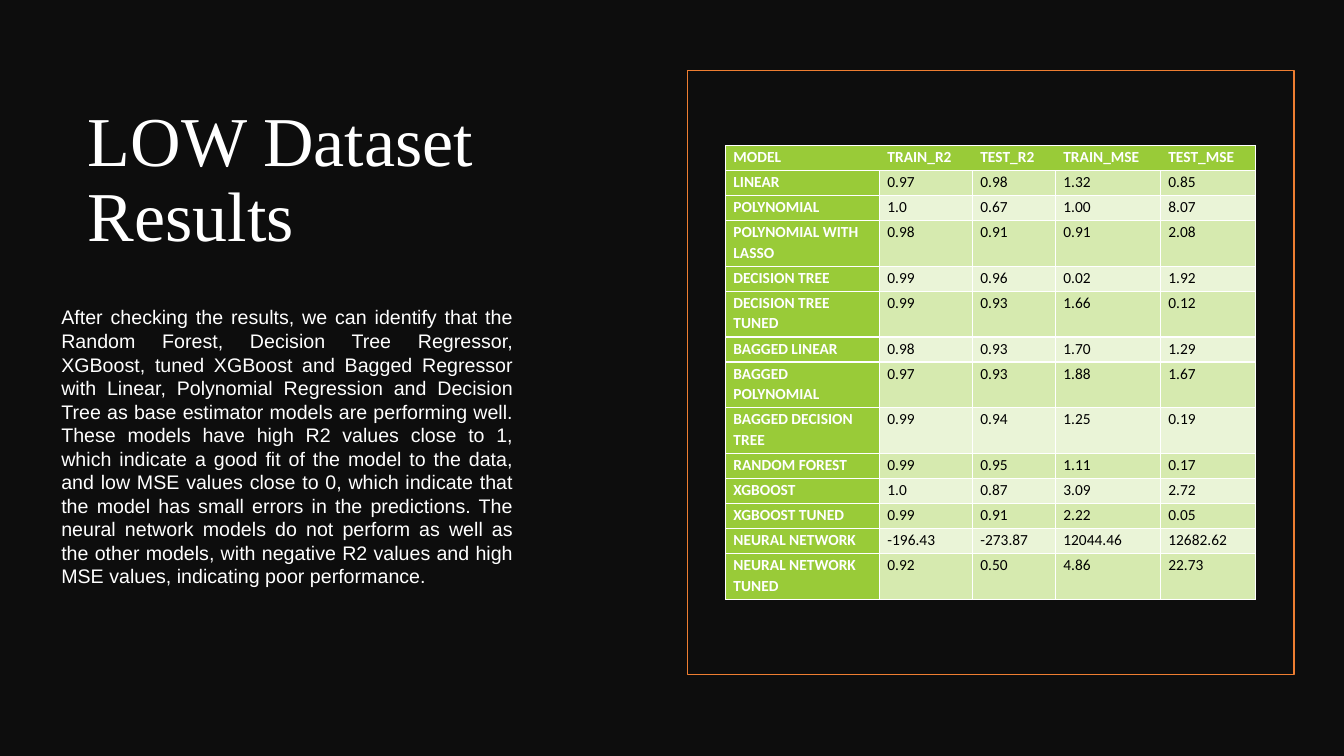
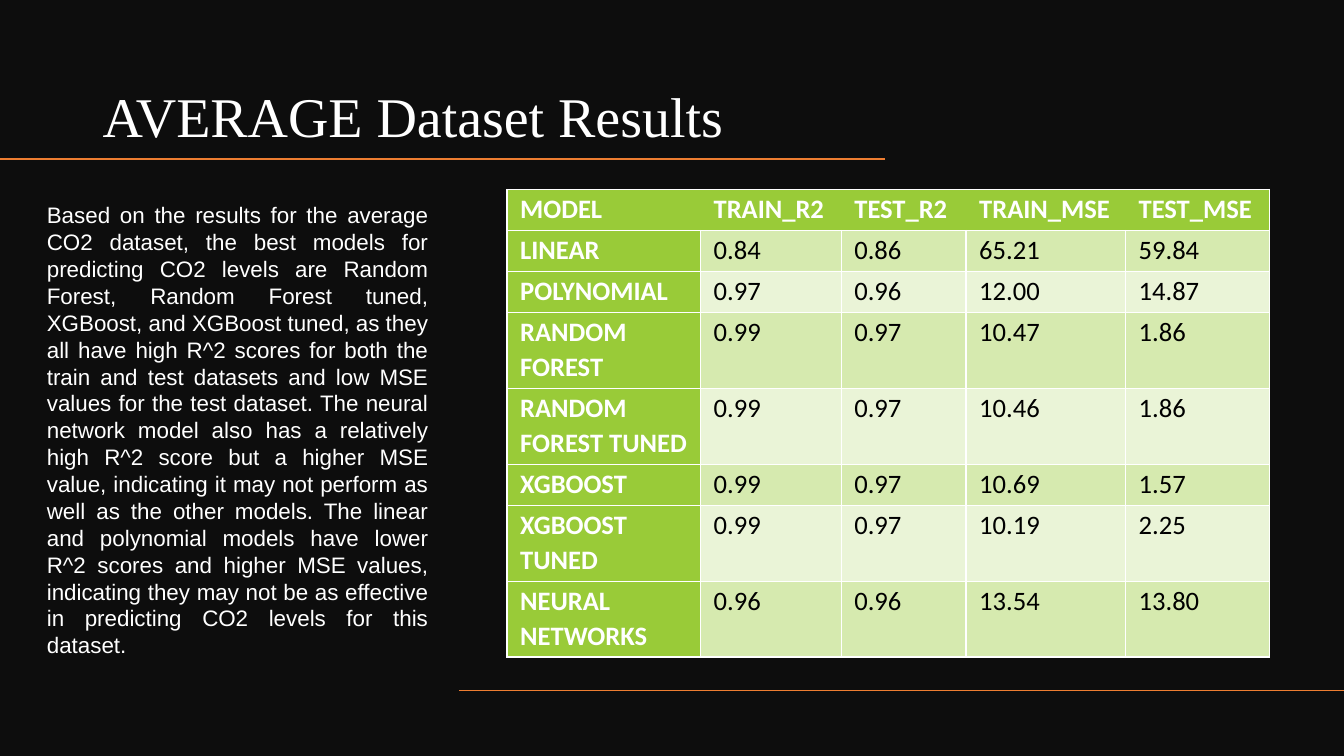
"""Build two slides of model results, each with a title, a summary and a table."""
from lxml.etree import SubElement
from pptx import Presentation
from pptx.dml.color import RGBColor
from pptx.enum.shapes import MSO_CONNECTOR, MSO_SHAPE
from pptx.enum.text import MSO_ANCHOR, MSO_AUTO_SIZE, PP_ALIGN
from pptx.oxml.ns import qn
from pptx.util import Pt

BACKGROUND = RGBColor(0x0D, 0x0D, 0x0D)
WHITE = RGBColor(0xFF, 0xFF, 0xFF)
BLACK = RGBColor(0x00, 0x00, 0x00)
ORANGE = RGBColor(0xED, 0x7D, 0x31)
GREEN = RGBColor(0x99, 0xCB, 0x38)
BAND_DARK = RGBColor(0xD6, 0xEA, 0xAF)
BAND_LIGHT = RGBColor(0xEA, 0xF4, 0xD7)

HEADER = ("MODEL", "TRAIN_R2", "TEST_R2", "TRAIN_MSE", "TEST_MSE")

RESULTS = [
    {
        "title": "LOW Dataset Results",
        "title_box": (55.5, 50.4, 424.8, 136.8),
        "title_size": 50,
        "summary": "After checking the results, we can identify that the Random Forest, Decision Tree "
                   "Regressor, XGBoost, tuned XGBoost and Bagged Regressor with Linear, Polynomial "
                   "Regression and Decision Tree as base estimator models are performing well. These "
                   "models have high R2 values close to 1, which indicate a good fit of the model to "
                   "the data, and low MSE values close to 0, which indicate that the model has small "
                   "errors in the predictions. The neural network models do not perform as well as the "
                   "other models, with negative R2 values and high MSE values, indicating poor "
                   "performance.",
        "summary_box": (36.7, 214.6, 337, 211),
        "summary_size": 14,
        "frame": (491, 50.4, 433.4, 431.3),
        "rules": [],
        "table_at": (518.4, 104),
        "columns": (110, 66.4, 59.3, 75, 67.8),
        "row_heights": (17.9, 32.6),
        "longest_single_line": 14,
        "table_size": 11,
        "cell_margins": (5.5, 0.8),
        "rows": [
            ("LINEAR", "0.97", "0.98", "1.32", "0.85"),
            ("POLYNOMIAL", "1.0", "0.67", "1.00", "8.07"),
            ("POLYNOMIAL WITH LASSO", "0.98", "0.91", "0.91", "2.08"),
            ("DECISION TREE", "0.99", "0.96", "0.02", "1.92"),
            ("DECISION TREE TUNED", "0.99", "0.93", "1.66", "0.12"),
            ("BAGGED LINEAR", "0.98", "0.93", "1.70", "1.29"),
            ("BAGGED POLYNOMIAL", "0.97", "0.93", "1.88", "1.67"),
            ("BAGGED DECISION TREE", "0.99", "0.94", "1.25", "0.19"),
            ("RANDOM FOREST", "0.99", "0.95", "1.11", "0.17"),
            ("XGBOOST", "1.0", "0.87", "3.09", "2.72"),
            ("XGBOOST TUNED", "0.99", "0.91", "2.22", "0.05"),
            ("NEURAL NETWORK", "-196.43", "-273.87", "12044.46", "12682.62"),
            ("NEURAL NETWORK TUNED", "0.92", "0.50", "4.86", "22.73"),
        ],
    },
    {
        "title": "AVERAGE Dataset Results",
        "title_box": (66.2, 30.2, 566, 80.6),
        "title_size": 40,
        "summary": "Based on the results for the average CO2 dataset, the best models for predicting "
                   "CO2 levels are Random Forest, Random Forest tuned, XGBoost, and XGBoost tuned, as "
                   "they all have high R^2 scores for both the train and test datasets and low MSE "
                   "values for the test dataset. The neural network model also has a relatively high "
                   "R^2 score but a higher MSE value, indicating it may not perform as well as the "
                   "other models. The linear and polynomial models have lower R^2 scores and higher "
                   "MSE values, indicating they may not be as effective in predicting CO2 levels for "
                   "this dataset.",
        "summary_box": (26.4, 140.4, 286.6, 337),
        "summary_size": 16,
        "frame": None,
        "rules": [(632.2, 0, 113.5), (960, 328, 493.3)],
        "table_at": (362.2, 135.4),
        "columns": (138.2, 100.5, 89.2, 113.9, 102.8),
        "row_heights": (29.3, 54.2),
        "longest_single_line": 12,
        "table_size": 19,
        "cell_margins": (9.4, 1.4),
        "rows": [
            ("LINEAR", "0.84", "0.86", "65.21", "59.84"),
            ("POLYNOMIAL", "0.97", "0.96", "12.00", "14.87"),
            ("RANDOM FOREST", "0.99", "0.97", "10.47", "1.86"),
            ("RANDOM FOREST TUNED", "0.99", "0.97", "10.46", "1.86"),
            ("XGBOOST", "0.99", "0.97", "10.69", "1.57"),
            ("XGBOOST TUNED", "0.99", "0.97", "10.19", "2.25"),
            ("NEURAL NETWORKS", "0.96", "0.96", "13.54", "13.80"),
        ],
    },
]


def write_text(text_frame, text, font_name, size, color, bold=False):
    """Write one run into the first paragraph and return that paragraph."""
    paragraph = text_frame.paragraphs[0]
    run = paragraph.add_run()
    run.text = text
    run.font.name = font_name
    run.font.size = Pt(size)
    run.font.bold = bold
    run.font.color.rgb = color
    return paragraph


def set_borders(cell, hidden_sides):
    """Give a cell white one-point borders, except on the hidden sides."""
    properties = cell._tc.get_or_add_tcPr()
    for side in "LRTB":
        border = SubElement(properties, qn(f"a:ln{side}"), w=str(Pt(1)))
        if side in hidden_sides:
            SubElement(border, qn("a:noFill"))
        else:
            fill = SubElement(border, qn("a:solidFill"))
            SubElement(fill, qn("a:srgbClr"), val=str(WHITE))


presentation = Presentation()
presentation.slide_width = Pt(960)
presentation.slide_height = Pt(540)
master_fill = presentation.slide_master.background.fill
master_fill.solid()
master_fill.fore_color.rgb = BACKGROUND
title_only = presentation.slide_layouts.get_by_name("Title Only")

for result in RESULTS:
    slide = presentation.slides.add_slide(title_only)

    title = slide.shapes.title
    title.left, title.top, title.width, title.height = map(Pt, result["title_box"])
    title.text_frame.vertical_anchor = MSO_ANCHOR.BOTTOM
    title.text_frame.auto_size = MSO_AUTO_SIZE.NONE
    paragraph = write_text(title.text_frame, result["title"], "Times New Roman", result["title_size"], WHITE)
    paragraph.alignment = PP_ALIGN.LEFT
    paragraph.line_spacing = 0.9

    if result["frame"]:
        frame = slide.shapes.add_shape(MSO_SHAPE.RECTANGLE, *map(Pt, result["frame"]))
        frame.shadow.inherit = False
        frame.fill.background()
        frame.line.color.rgb = ORANGE
        frame.line.width = Pt(1)

    for start, end, height in result["rules"]:
        rule = slide.shapes.add_connector(MSO_CONNECTOR.STRAIGHT, Pt(start), Pt(height), Pt(end), Pt(height))
        rule.line.color.rgb = ORANGE
        rule.line.width = Pt(1)
        SubElement(rule._element.spPr, qn("a:effectLst"))

    rows = [HEADER, *result["rows"]]
    single_height, double_height = result["row_heights"]
    heights = [double_height if len(row[0]) > result["longest_single_line"] else single_height for row in rows]
    left, top = result["table_at"]
    table = slide.shapes.add_table(
        len(rows), len(HEADER), Pt(left), Pt(top), Pt(sum(result["columns"])), Pt(sum(heights))
    ).table
    for column, width in zip(table.columns, result["columns"]):
        column.width = Pt(width)
    side_margin, top_margin = result["cell_margins"]
    last_column = len(HEADER) - 1
    for row_index, values in enumerate(rows):
        table.rows[row_index].height = Pt(heights[row_index])
        for column_index, value in enumerate(values):
            cell = table.cell(row_index, column_index)
            cell.margin_left = cell.margin_right = Pt(side_margin)
            cell.margin_top = Pt(top_margin)
            cell.margin_bottom = Pt(0)
            hidden_sides = ""
            if row_index == 0:
                hidden_sides = {0: "R", last_column: "L"}.get(column_index, "LR")
            set_borders(cell, hidden_sides)
            is_heading = row_index == 0 or column_index == 0
            band = BAND_DARK if row_index % 2 else BAND_LIGHT
            cell.fill.solid()
            cell.fill.fore_color.rgb = GREEN if is_heading else band
            paragraph = write_text(
                cell.text_frame, value, "Calibri", result["table_size"], WHITE if is_heading else BLACK, is_heading
            )
            paragraph.line_spacing = 1.07

    summary = slide.shapes.add_textbox(*map(Pt, result["summary_box"]))
    summary.text_frame.word_wrap = True
    summary.text_frame.auto_size = MSO_AUTO_SIZE.SHAPE_TO_FIT_TEXT
    paragraph = write_text(summary.text_frame, result["summary"], "Arial", result["summary_size"], WHITE)
    paragraph.alignment = PP_ALIGN.JUSTIFY

presentation.save("out.pptx")
